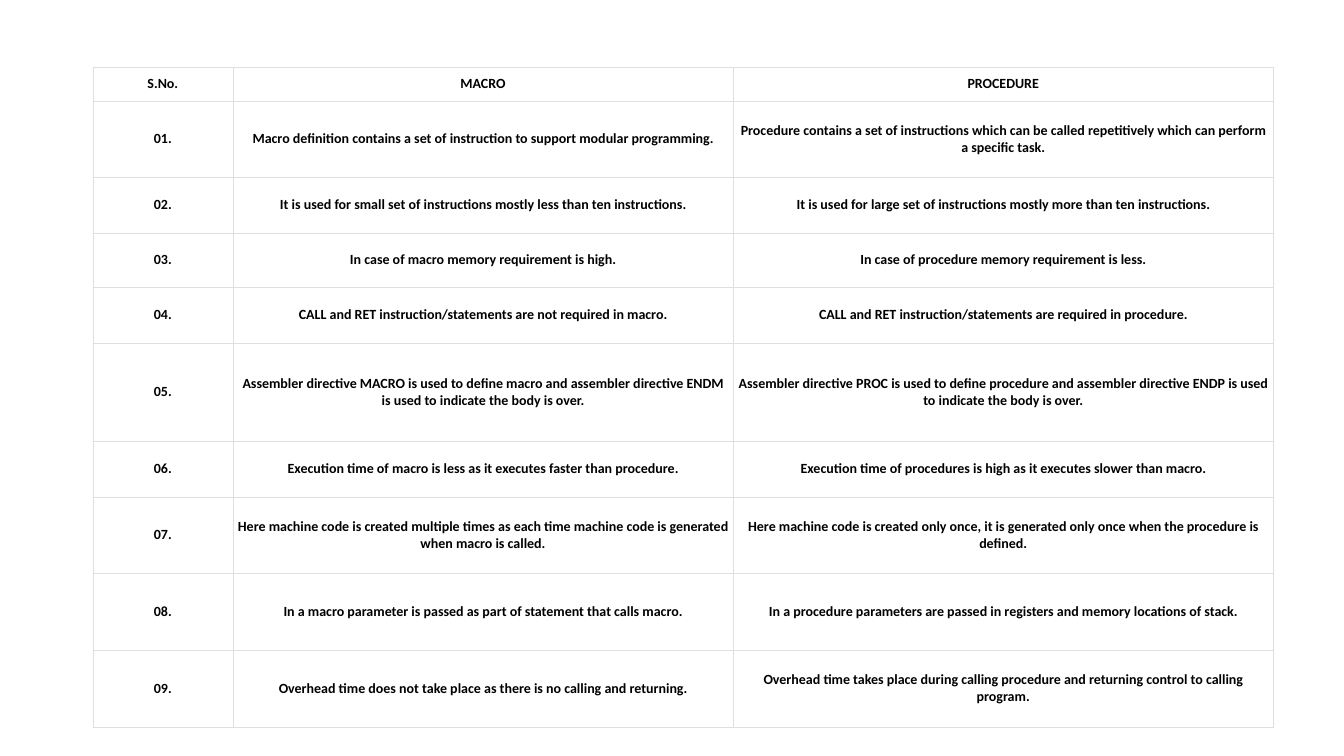
import dataclasses

import lxml.etree
import pptx
import pptx.dml.color
import pptx.enum.text
import pptx.oxml.ns
import pptx.util

Inches = pptx.util.Inches


@dataclasses.dataclass(frozen=True)
class Theme:
    """Colours, type and line sizes of the slide."""
    font: str = "Calibri"
    text_size: float = 10
    text: str = "000000"
    cell: str = "FFFFFF"
    border: str = "DFDFDF"
    border_width: float = 0.23


class SlideBuilder:
    """Holds the theme and the current slide."""

    def __init__(self, slide, theme):
        """Keep the slide to fill and the theme to use."""
        self.slide = slide
        self.theme = theme

    def border(self, cell):
        """Draw a thin line on all four sides of a cell."""
        qn = pptx.oxml.ns.qn
        properties = cell._tc.get_or_add_tcPr()
        width = str(int(pptx.util.Pt(self.theme.border_width)))
        for side in ("a:lnL", "a:lnR", "a:lnT", "a:lnB"):
            line = lxml.etree.SubElement(properties, qn(side), w=width)
            fill = lxml.etree.SubElement(line, qn("a:solidFill"))
            lxml.etree.SubElement(fill, qn("a:srgbClr"), val=self.theme.border)

    def cell(self, cell, wording, side_margin):
        """Write and format one table cell."""
        theme = self.theme
        self.border(cell)
        cell.fill.solid()
        cell.fill.fore_color.rgb = pptx.dml.color.RGBColor.from_string(theme.cell)
        cell.text = wording
        paragraph = cell.text_frame.paragraphs[0]
        paragraph.alignment = pptx.enum.text.PP_ALIGN.CENTER
        font = paragraph.runs[0].font
        font.color.rgb = pptx.dml.color.RGBColor.from_string(theme.text)
        cell_format = {
            "vertical_anchor": pptx.enum.text.MSO_ANCHOR.MIDDLE,
            "margin_left": Inches(side_margin),
            "margin_right": Inches(side_margin),
            "margin_top": Inches(0.04),
            "margin_bottom": Inches(0.04),
        }
        font_format = {
            "name": theme.font,
            "size": pptx.util.Pt(theme.text_size),
            "bold": True,
        }
        for target, values in ((cell, cell_format), (font, font_format)):
            for name, value in values.items():
                setattr(target, name, value)

    def table(self, left, top, widths, heights, rows, side_margins):
        """Add a plain table with the given column widths and row heights."""
        grid = self.slide.shapes.add_table(
            len(heights), len(widths), Inches(left), Inches(top),
            Inches(sum(widths)), Inches(sum(heights))).table
        for name in ("first_row", "horz_banding"):
            setattr(grid, name, False)
        for column, width in zip(grid.columns, widths):
            column.width = Inches(width)
        for row, height, wordings in zip(grid.rows, heights, rows):
            row.height = Inches(height)
            for cell, wording, margin in zip(row.cells, wordings, side_margins):
                self.cell(cell, wording, margin)


HEADINGS = ("S.No.", "MACRO", "PROCEDURE")
DIFFERENCES = (
    ("Macro definition contains a set of instruction to support modular programming.",
     "Procedure contains a set of instructions which can be called repetitively "
     "which can perform a specific task."),
    ("It is used for small set of instructions mostly less than ten instructions.",
     "It is used for large set of instructions mostly more than ten instructions."),
    ("In case of macro memory requirement is high.",
     "In case of procedure memory requirement is less."),
    ("CALL and RET instruction/statements are not required in macro.",
     "CALL and RET instruction/statements are required in procedure."),
    ("Assembler directive MACRO is used to define macro and assembler directive "
     "ENDM is used to indicate the body is over.",
     "Assembler directive PROC is used to define procedure and assembler directive "
     "ENDP is used to indicate the body is over."),
    ("Execution time of macro is less as it executes faster than procedure.",
     "Execution time of procedures is high as it executes slower than macro."),
    ("Here machine code is created multiple times as each time machine code is "
     "generated when macro is called.",
     "Here machine code is created only once, it is generated only once when the "
     "procedure is defined."),
    ("In a macro parameter is passed as part of statement that calls macro.",
     "In a procedure parameters are passed in registers and memory locations of stack."),
    ("Overhead time does not take place as there is no calling and returning.",
     "Overhead time takes place during calling procedure and returning control "
     "to calling program."),
)
COLUMN_WIDTHS = (1.39, 4.96, 5.36)
ROW_HEIGHTS = (0.33, 0.76, 0.55, 0.54, 0.55, 0.98, 0.55, 0.76, 0.76, 0.76)
SIDE_MARGINS = (0.02, 0.04, 0.04)


def main():
    """Build the comparison of macros and procedures."""
    deck = pptx.Presentation()
    deck.slide_width = Inches(13.33)
    deck.slide_height = Inches(7.5)
    builder = SlideBuilder(deck.slides.add_slide(deck.slide_layouts[6]), Theme())
    numbered = [(f"{number:02d}.", *pair)
                for number, pair in enumerate(DIFFERENCES, start=1)]
    builder.table(0.92, 0.67, COLUMN_WIDTHS, ROW_HEIGHTS,
                  [HEADINGS, *numbered], SIDE_MARGINS)
    deck.save("out.pptx")


main()
